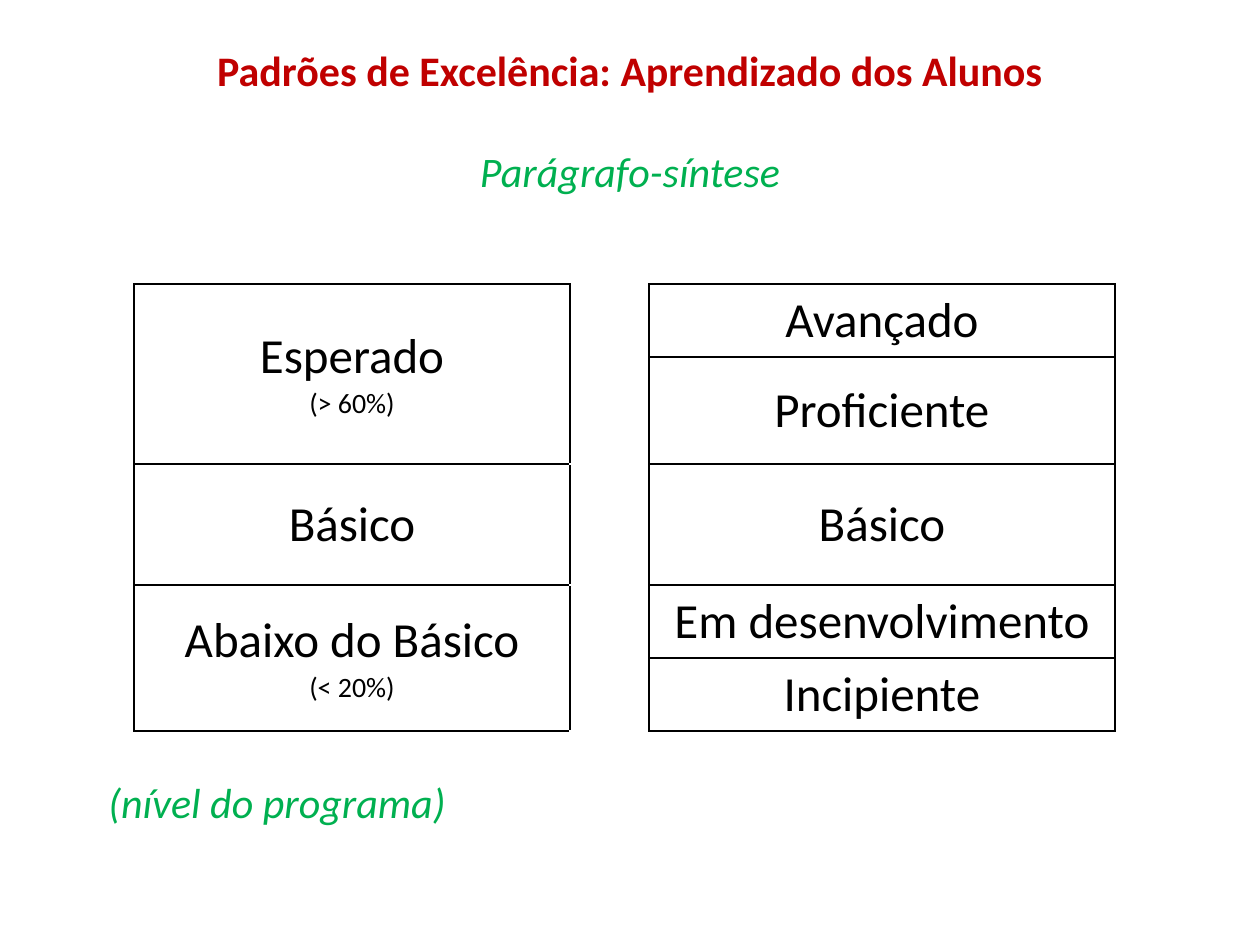
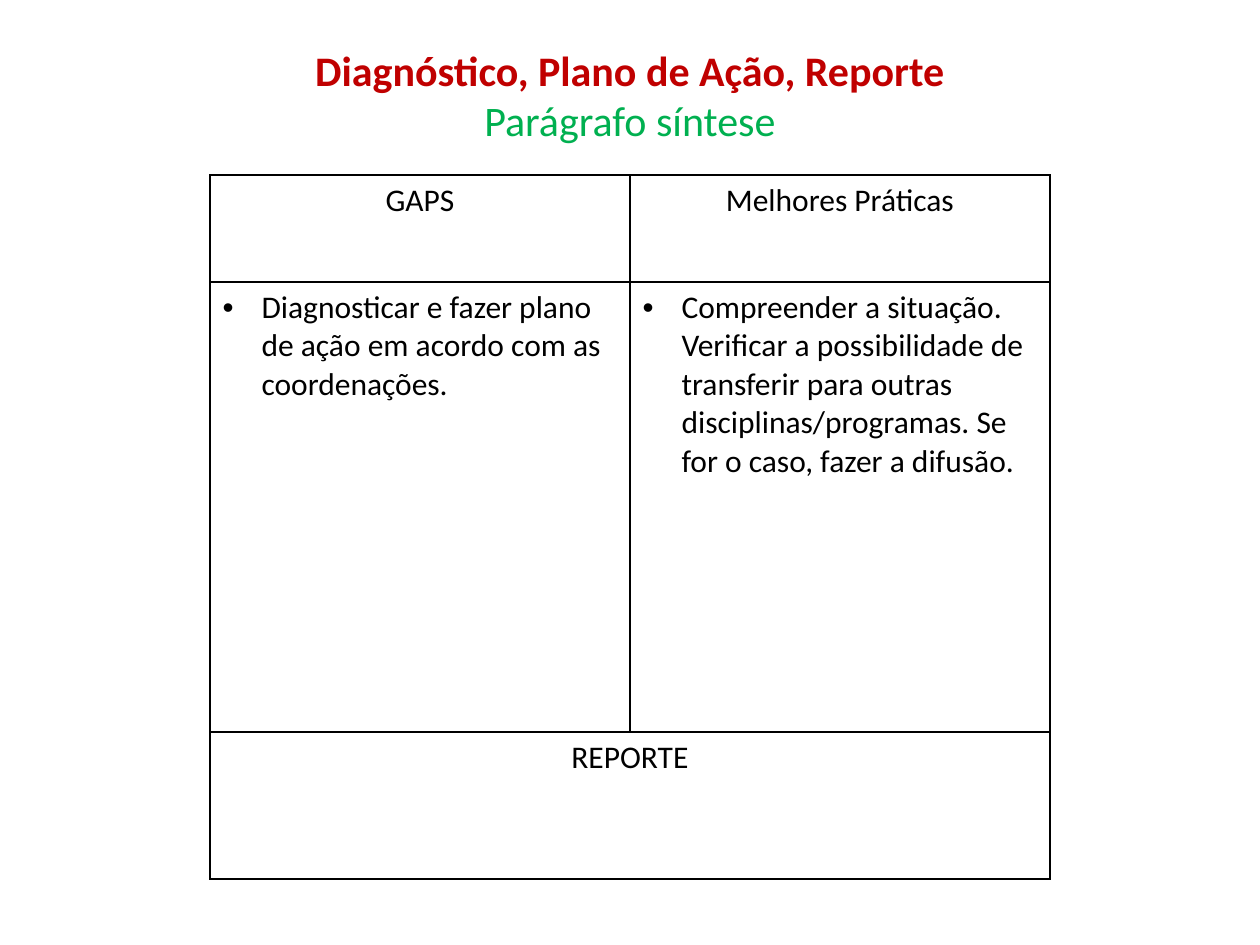
"""Builds two slides on learning standards and diagnosis, action plan and report."""
from lxml import etree
from pptx import Presentation
from pptx import util as u
from pptx.dml.color import RGBColor
from pptx.enum import text as t
from pptx.oxml import ns

SCALE = 914400 / 126
FONT = "Calibri"
RED = RGBColor(0xC0, 0x00, 0x00)
GREEN = RGBColor(0x00, 0xB0, 0x50)
BLACK = RGBColor(0x00, 0x00, 0x00)
MID = t.MSO_ANCHOR.MIDDLE
TOP = t.MSO_ANCHOR.TOP


def px(n):
    return u.Emu(round(n * SCALE))


def style(para, size, color, bold=False, italic=False):
    font = para.font
    font.name, font.size = FONT, u.Pt(size)
    font.bold, font.italic = bold, italic
    font.color.rgb = color


def add_box(slide, left, top, width, height, lines):
    frame = slide.shapes.add_textbox(px(left), px(top), px(width), px(height)).text_frame
    frame.word_wrap = True
    frame.text = "\n".join(line[0] for line in lines)
    for para, (_, color, bold, italic) in zip(frame.paragraphs, lines):
        para.alignment = t.PP_ALIGN.CENTER
        style(para, 24, color, bold, italic)
    return frame


def add_title(slide, title, sub, italic=False, gap=0):
    lines = [(title, RED, True, False), (sub, GREEN, False, italic)]
    frame = add_box(slide, 63, 38, 1134, 246, lines)
    frame.paragraphs[1].space_before = u.Pt(gap)


def add_edges(cell, sides):
    props = cell._tc.get_or_add_tcPr()
    for side in sides:
        line = etree.SubElement(props, ns.qn(f"a:ln{side}"), w=str(u.Pt(1)))
        fill = etree.SubElement(line, ns.qn("a:solidFill"))
        etree.SubElement(fill, ns.qn("a:srgbClr"), val=str(BLACK))


def add_grid(slide, left, top, cols, rows, bare=()):
    frame = slide.shapes.add_table(len(rows), len(cols), px(left), px(top),
                                   px(sum(cols)), px(sum(rows)))
    table = frame.table
    table.first_row = table.horz_banding = False
    for col, width in zip(table.columns, cols):
        col.width = px(width)
    for row, height in zip(table.rows, rows):
        row.height = px(height)
        for i, cell in enumerate(row.cells):
            add_edges(cell, "LR" if i in bare else "LRTB")
            cell.fill.background()
    return table


def fill_cell(cell, words, size, anchor, note=None):
    cell.vertical_anchor = anchor
    cell.text = f"{words}\n{note}" if note else words
    for para, points in zip(cell.text_frame.paragraphs, (size, 16)):
        para.alignment = t.PP_ALIGN.CENTER
        style(para, points, BLACK)


def fill_item(cell, words):
    cell.text = words
    para = cell.text_frame.paragraphs[0]
    props = para._p.get_or_add_pPr()
    props.set("marL", str(px(39)))
    props.set("indent", str(-px(39)))
    etree.SubElement(props, ns.qn("a:buFont"), typeface="Arial")
    etree.SubElement(props, ns.qn("a:buChar"), char="•")
    style(para, 18, BLACK)


def add_levels(slide):
    add_title(slide, "Padrões de Excelência: Aprendizado dos Alunos",
              "Parágrafo-síntese", italic=True, gap=29)
    grid = add_grid(slide, 134, 284, (436, 79, 466), (73, 107, 121, 73, 73), bare=(1,))
    for row in (0, 3):
        for col in (0, 1):
            grid.cell(row, col).merge(grid.cell(row + 1, col))
    broad = ((0, "Esperado", "(> 60%)"), (2, "Básico", None),
             (3, "Abaixo do Básico", "(< 20%)"))
    for row, words, note in broad:
        fill_cell(grid.cell(row, 0), words, 28, MID, note)
    fine = ("Avançado", "Proficiente", "Básico", "Em desenvolvimento", "Incipiente")
    for row, words in enumerate(fine):
        fill_cell(grid.cell(row, 2), words, 28, MID)
    add_box(slide, 54, 770, 446, 156, [("(nível do programa)", GREEN, False, True)])


def add_plan(slide):
    add_title(slide, "Diagnóstico, Plano de Ação, Reporte", "Parágrafo síntese")
    grid = add_grid(slide, 210, 175, (420, 420), (107, 450, 147))
    grid.cell(2, 0).merge(grid.cell(2, 1))
    plan = (("GAPS", "Diagnosticar e fazer plano de ação em acordo com as coordenações."),
            ("Melhores Práticas",
             "Compreender a situação. Verificar a possibilidade de transferir para outras "
             "disciplinas/programas. Se for o caso, fazer a difusão."))
    for col, (head, item) in enumerate(plan):
        fill_cell(grid.cell(0, col), head, 18, TOP)
        fill_item(grid.cell(1, col), item)
    fill_cell(grid.cell(2, 0), "REPORTE", 18, TOP)


def main():
    deck = Presentation()
    deck.slide_width, deck.slide_height = px(1260), px(945)
    for build in (add_levels, add_plan):
        build(deck.slides.add_slide(deck.slide_layouts[6]))
    deck.save("out.pptx")


if __name__ == "__main__":
    main()
